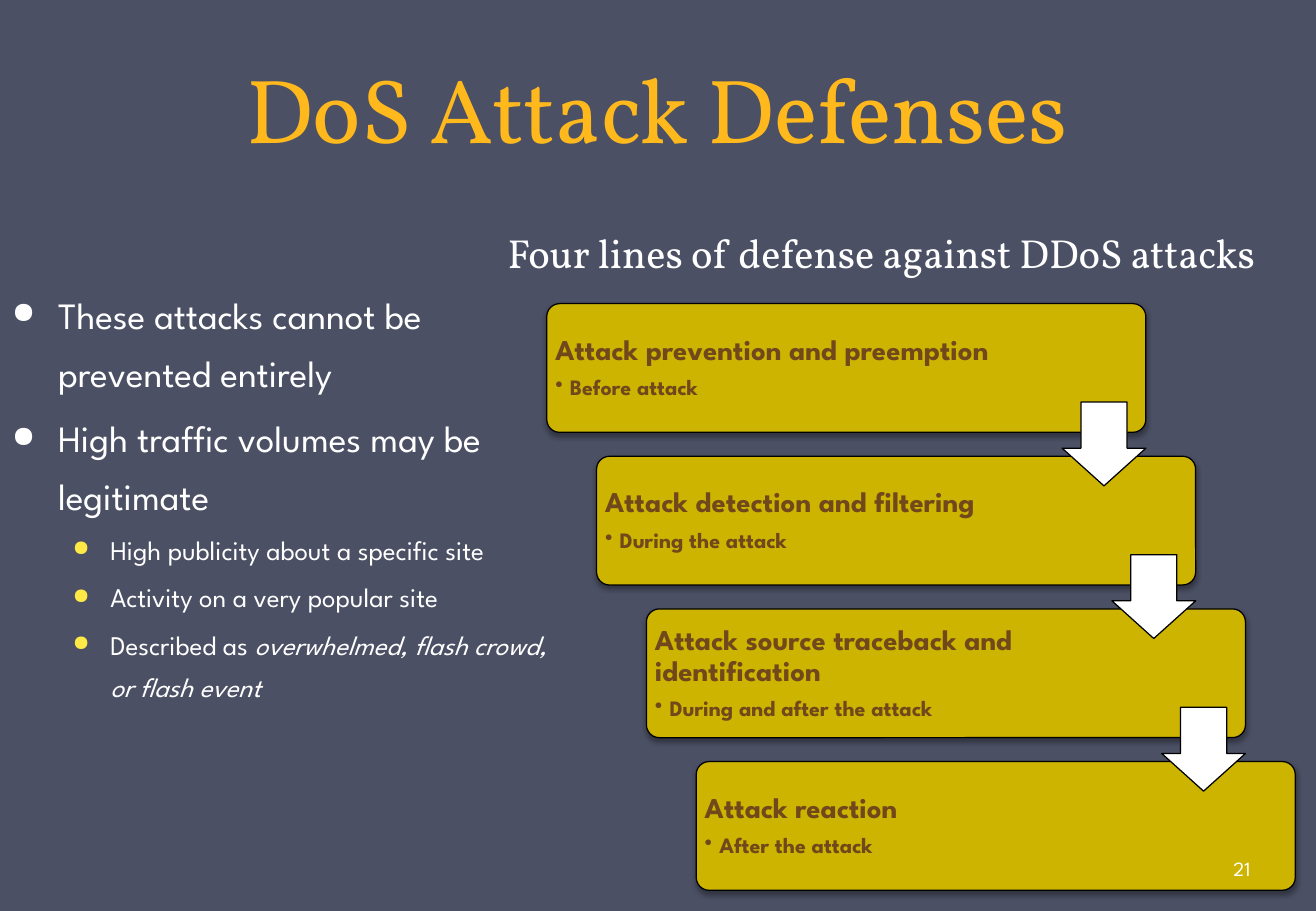
from dataclasses import dataclass
from typing import Optional

from lxml.etree import SubElement
from pptx import Presentation
from pptx.dml.color import RGBColor as RGB
from pptx.enum.shapes import MSO_SHAPE as Form
from pptx.enum.text import MSO_ANCHOR as Anchor, PP_ALIGN as Align
from pptx.oxml.ns import qn
from pptx.util import Inches, Pt


@dataclass(frozen=True)
class Theme:
    back: str = "4B5064"
    gold: str = "FFB91D"
    white: str = "FFFFFF"
    black: str = "000000"
    dot: str = "FFE947"
    card: str = "CCB400"
    brown: str = "71481C"
    serif: str = "Vollkorn"
    sans: str = "League Spartan"
    title: float = 54
    head: float = 24
    main: float = 22
    sub: float = 16
    step: float = 17
    note: float = 13
    page: float = 12


T = Theme()


@dataclass(frozen=True)
class Box:
    left: float
    top: float
    width: float
    height: float

    def place(self) -> tuple:
        return tuple(Inches(v) for v in (self.left, self.top, self.width, self.height))


@dataclass(frozen=True)
class Dot:
    char: str
    left: float
    hang: float
    tint: Optional[str] = None
    scale: int = 100


@dataclass(frozen=True)
class Para:
    text: str
    size: float
    slant: str = ""
    level: int = 0
    dot: Optional[Dot] = None
    space: Optional[float] = None
    before: float = 0
    after: float = 0


@dataclass(frozen=True)
class Step:
    name: str
    time: str
    width: float = 3.83


MAIN = Dot("●", 0.38, 0.38, scale=80)
SUB = Dot("●", 0.81, 0.31, T.dot, 80)
NOTE = Dot("•", 0.12, 0.12)


def main_point(text: str, before: float = 0) -> Para:
    return Para(text, T.main, dot=MAIN, space=1.3, before=before)


def sub_point(text: str, slant: str = "") -> Para:
    return Para(text, T.sub, slant, 1, SUB, 1.3, 3.2)


POINTS = [
    main_point("These attacks cannot be prevented entirely"),
    main_point("High traffic volumes may be legitimate", 4.4),
    sub_point("High publicity about a specific site"),
    sub_point("Activity on a very popular site"),
    sub_point("Described as ", "overwhelmed, flash crowd, or flash event"),
]
STEPS = [
    Step("Attack prevention and preemption", "Before attack", 3.76),
    Step("Attack detection and filtering", "During the attack"),
    Step("Attack source traceback and identification", "During and after the attack"),
    Step("Attack reaction", "After the attack"),
]
FIRST = Box(4.5, 2.5, 4.93, 1.06)
SHIFT, DROP = 0.41, 3.77 / 3
ARROW, LAP = 0.69, 0.25


def add_dot(para, dot: Dot) -> None:
    props = para._p.get_or_add_pPr()
    props.set("marL", str(Inches(dot.left)))
    props.set("indent", str(-Inches(dot.hang)))
    if dot.tint:
        SubElement(SubElement(props, qn("a:buClr")), qn("a:srgbClr"), val=dot.tint)
    SubElement(props, qn("a:buSzPct"), val=str(dot.scale * 1000))
    SubElement(props, qn("a:buChar"), char=dot.char)


def write(slide, box: Box, paras: list[Para], *, font: str, color: str,
          bold: bool = False, align=Align.LEFT, anchor=Anchor.TOP,
          inset: tuple = (0.1, 0.05, 0.1, 0.05)) -> None:
    """Add a text box; inset runs left, top, right, bottom."""
    frame = slide.shapes.add_textbox(*box.place()).text_frame
    frame.word_wrap = True
    frame.vertical_anchor = anchor
    (frame.margin_left, frame.margin_top,
     frame.margin_right, frame.margin_bottom) = map(Inches, inset)
    for i, item in enumerate(paras):
        para = frame.add_paragraph() if i else frame.paragraphs[0]
        para.level, para.alignment = item.level, align
        if item.dot:
            add_dot(para, item.dot)
        if item.space:
            para.line_spacing = item.space
        if item.before:
            para.space_before = Pt(item.before)
        para.space_after = Pt(item.after)
        for text, slant in ((item.text, False), (item.slant, True)):
            if text:
                run = para.add_run()
                run.text = text
                run.font.name, run.font.size = font, Pt(item.size)
                run.font.bold, run.font.italic = bold, slant
                run.font.color.rgb = RGB.from_string(color)


def draw(slide, form, box: Box, fill: str, ratios: tuple):
    shape = slide.shapes.add_shape(form, *box.place())
    shape.shadow.inherit = False
    shape.fill.solid()
    shape.fill.fore_color.rgb = RGB.from_string(fill)
    shape.line.color.rgb = RGB.from_string(T.black)
    shape.line.width = Pt(0.75)
    for i, ratio in enumerate(ratios):
        shape.adjustments[i] = ratio
    return shape


def add_shade(shape) -> None:
    """Cast a soft shadow straight down."""
    group = shape._element.spPr.find(qn("a:effectLst"))
    shade = SubElement(group, qn("a:outerShdw"), blurRad=str(Pt(3.1)),
                       dist=str(Pt(1.8)), dir="5400000", rotWithShape="0")
    tint = SubElement(shade, qn("a:srgbClr"), val=T.black)
    SubElement(tint, qn("a:alpha"), val="35000")


def add_steps(slide) -> None:
    cards = [Box(FIRST.left + SHIFT * i, FIRST.top + DROP * i, FIRST.width, FIRST.height)
             for i in range(len(STEPS))]
    for card, step in zip(cards, STEPS):
        add_shade(draw(slide, Form.ROUNDED_RECTANGLE, card, T.card, (0.1,)))
        write(slide, Box(card.left, card.top, step.width, card.height),
              [Para(step.name, T.step, space=0.9, after=6),
               Para(step.time, T.note, level=1, dot=NOTE, space=0.9, after=2)],
              font=T.sans, color=T.brown, bold=True, anchor=Anchor.MIDDLE,
              inset=(0.07,) * 4)
    for card in cards[:-1]:
        place = Box(card.left + card.width - ARROW, card.top + card.height - LAP, ARROW, ARROW)
        draw(slide, Form.DOWN_ARROW, place, T.white, (0.55, 0.45))


def main() -> None:
    deck = Presentation()
    deck.slide_width, deck.slide_height = Inches(10.83), Inches(7.5)
    slide = deck.slides.add_slide(deck.slide_layouts[6])
    slide.background.fill.solid()
    slide.background.fill.fore_color.rgb = RGB.from_string(T.back)
    write(slide, Box(0.53, -0.27, 9.75, 1.65),
          [Para("DoS Attack Defenses", T.title, space=Pt(58))],
          font=T.serif, color=T.gold, align=Align.CENTER, anchor=Anchor.BOTTOM)
    write(slide, Box(0, 2.25, 4.66, 4.35), POINTS, font=T.sans, color=T.white)
    add_steps(slide)
    write(slide, Box(4.08, 1.83, 6.75, 0.81),
          [Para("Four lines of defense against DDoS attacks", T.head)],
          font=T.serif, color=T.white)
    write(slide, Box(10.12, 6.95, 0.67, 0.4), [Para("21", T.page)],
          font=T.sans, color=T.white, anchor=Anchor.MIDDLE,
          inset=(0.03, 0.05, 0.05, 0.05))
    deck.save("out.pptx")


if __name__ == "__main__":
    main()
